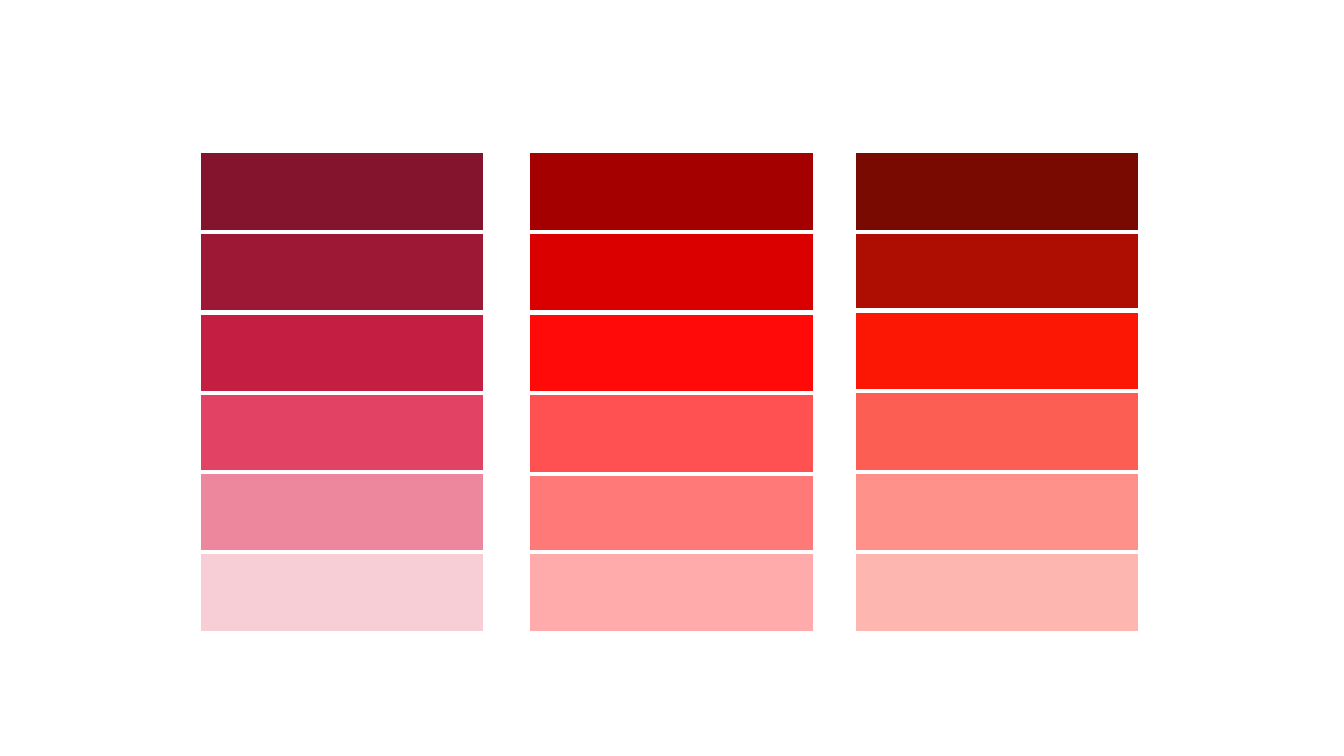
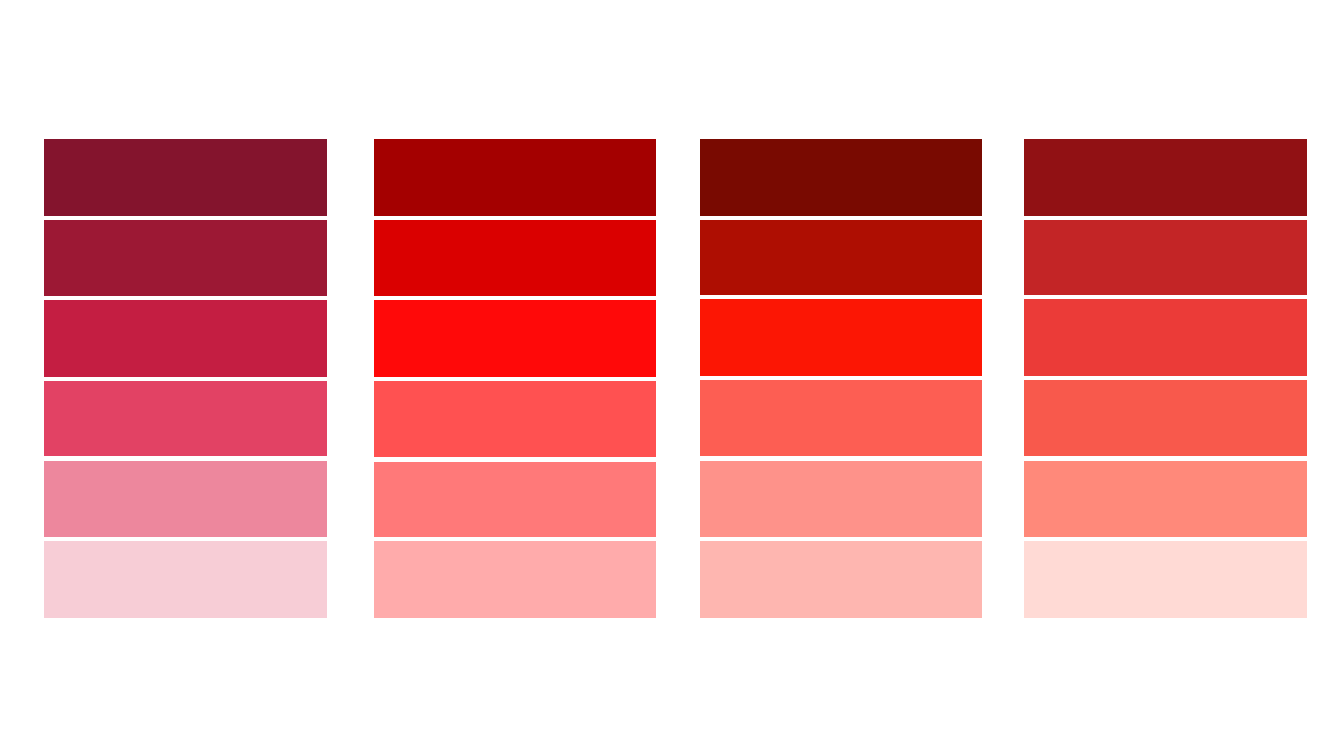
from dataclasses import dataclass

from pptx import Presentation
from pptx.dml import color
from pptx.enum import shapes
from pptx.util import Inches, Pt


@dataclass(frozen=True)
class Theme:
    background: str = "FFFFFF"
    border: str = "FFFFFF"
    border_width: float = 3
    swatch_width: float = 2.84
    swatch_height: float = 0.8


@dataclass(frozen=True)
class Palette:
    offset: float
    overlap_row: int
    shades: tuple


THEME = Theme()

CRIMSON = Palette(0, 4, ("84142D", "9C1834", "C41E42", "E24264", "ED879D", "F7CDD6"))
SCARLET = Palette(3.27, 5, ("A40000", "DA0000", "FF0909", "FF5151", "FF7979", "FFABAB"))
RUST = Palette(6.5, 1, ("790A01", "AE0E02", "FC1604", "FD5E53", "FE928A", "FEB6B0"))
CORAL = Palette(9.72, 1, ("911114", "C32526", "EB3B38", "F8594C", "FF897A", "FFDAD5"))


def paint(fill, shade):
    fill.solid()
    fill.fore_color.rgb = color.RGBColor.from_string(shade)


def add_swatch(slide, left, top, shade):
    swatch = slide.shapes.add_shape(
        shapes.MSO_SHAPE.RECTANGLE,
        Inches(left),
        Inches(top),
        Inches(THEME.swatch_width),
        Inches(THEME.swatch_height),
    )
    swatch.shadow.inherit = False
    swatch.line.width = Pt(THEME.border_width)
    for fill, tone in ((swatch.fill, shade), (swatch.line.fill, THEME.border)):
        paint(fill, tone)


def add_palette(slide, palette, left, top, overlap):
    darkest, *lighter = enumerate(palette.shades)
    for row, shade in (*lighter, darkest):
        shift = overlap if row >= palette.overlap_row else 0
        swatch_top = top + row * THEME.swatch_height - shift
        add_swatch(slide, left + palette.offset, swatch_top, shade)


def add_palette_slide(deck, palettes, left, top, overlap):
    slide = deck.slides.add_slide(deck.slide_layouts[6])
    paint(slide.background.fill, THEME.background)
    for palette in palettes:
        add_palette(slide, palette, left, top, overlap)


def main():
    deck = Presentation()
    deck.slide_width = Inches(13.33)
    deck.slide_height = Inches(7.5)
    add_palette_slide(deck, (CRIMSON, SCARLET, RUST), left=1.97, top=1.5, overlap=0.02)
    add_palette_slide(
        deck, (CRIMSON, SCARLET, RUST, CORAL), left=0.42, top=1.36, overlap=0.01
    )
    deck.save("out.pptx")


if __name__ == "__main__":
    main()
